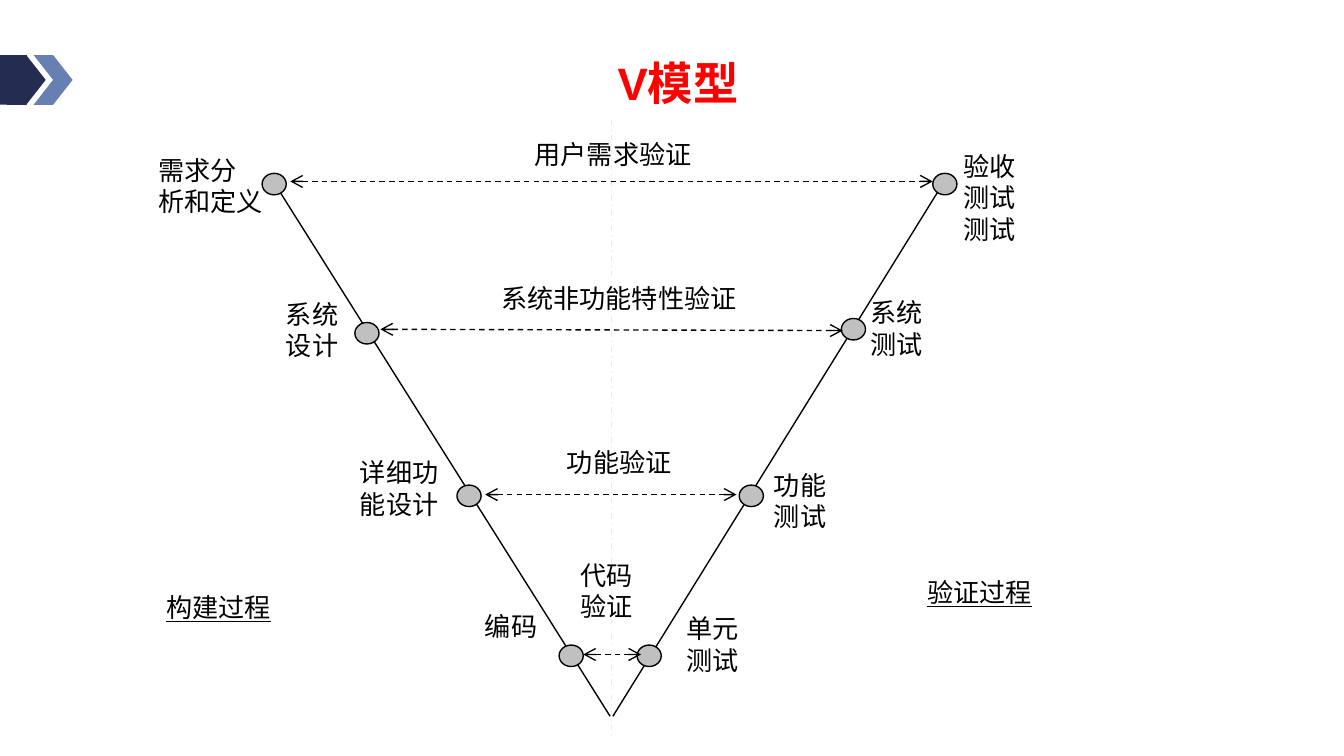
"""Builds the V model slide: build steps on the left, matching tests on the right."""
from lxml import etree
from pptx import Presentation
from pptx.dml.color import RGBColor
from pptx.enum import dml, shapes, text
from pptx.oxml.ns import qn
from pptx.util import Inches, Pt


def ink(color, tone):
    color.rgb = RGBColor.from_string(tone)


def put(words, x, y, w, h, size=14, face="Times New Roman", tone="000000",
        bold=False, under=False, align=text.PP_ALIGN.LEFT,
        anchor=text.MSO_ANCHOR.TOP, space=1.0):
    box = slide.shapes.add_textbox(Inches(x), Inches(y), Inches(w), Inches(h))
    frame = box.text_frame
    frame.word_wrap = True
    frame.vertical_anchor = anchor
    frame.text = words
    for par in frame.paragraphs:
        par.alignment = align
        par.line_spacing = space
        font = par.runs[0].font
        font.size, font.name = Pt(size), face
        font.bold, font.underline = bold, under
        ink(font.color, tone)
    return box


deck = Presentation()
deck.slide_width = Inches(10)
deck.slide_height = deck.slide_width * 9 // 16
slide = deck.slides.add_slide(deck.slide_layouts[6])
kinds = shapes.MSO_SHAPE
dashes = dml.MSO_LINE

badge = [
    (kinds.RECTANGLE, 0, 0.2, "242C52"),
    (kinds.CHEVRON, 0.25, 0.29, "6880B1"),
    (kinds.CHEVRON, 0.05, 0.29, "242C52"),
]
for kind, x, w, tone in badge:
    part = slide.shapes.add_shape(kind, Inches(x), Inches(0.41), Inches(w), Inches(0.37))
    part.shadow.inherit = False
    part.fill.solid()
    ink(part.fill.fore_color, tone)
    part.line.fill.background()

title = put("V模型", 2.28, 0.21, 5.38, 0.6, size=24.3, face="Arial", tone="FF0000",
            bold=True, align=text.PP_ALIGN.CENTER,
            anchor=text.MSO_ANCHOR.MIDDLE, space=1.5)
props = title.text_frame.paragraphs[0]._p.get_or_add_pPr()
props.set("marL", str(Inches(0.44)))
props.set("indent", str(Inches(-0.29)))

axis = ("axis", 4.55, 0.89, 4.55, 5.49)
sides = [("side", 2.04, 1.36, 4.54, 5.33), ("side", 4.56, 5.33, 7.02, 1.36)]
spots = [
    (1.95, 1.29), (2.64, 2.4), (3.4, 3.61), (4.16, 4.8),
    (4.74, 4.8), (5.5, 3.61), (6.26, 2.37), (6.94, 1.29),
]
dots = [("dot", x, y, 0.18, 0.16) for x, y in spots]
links = [
    ("link", 2.16, 1.35, 6.94, 1.35),
    ("link", 2.83, 2.45, 6.27, 2.46),
    ("link", 3.61, 3.68, 5.48, 3.68),
    ("link", 4.34, 4.87, 4.77, 4.87),
]
for role, *spot in [axis, *sides, *dots, *links]:
    place = [Inches(n) for n in spot]
    if role == "dot":
        part = slide.shapes.add_shape(kinds.OVAL, *place)
        part.shadow.inherit = False
        part.fill.solid()
        ink(part.fill.fore_color, "C0C0C0")
    else:
        part = slide.shapes.add_connector(shapes.MSO_CONNECTOR.STRAIGHT, *place)
        etree.SubElement(part._element.spPr, qn("a:effectLst"))
    part.line.width = Pt(0.75)
    ink(part.line.color, "CCFFCC" if role == "axis" else "000000")
    if role == "axis":
        part.line.dash_style = dashes.DASH_DOT
    if role == "link":
        part.line.dash_style = dashes.DASH
        for end in ("a:headEnd", "a:tailEnd"):
            etree.SubElement(part.line._get_or_add_ln(), qn(end), type="arrow")

labels = [
    ("需求分\n析和定义", 1.08, 1.1, 1.27, 0.7),
    ("系统设计", 2.03, 2.17, 0.64, 0.7),
    ("详细功能设计", 2.58, 3.35, 0.84, 0.7),
    ("编码", 3.51, 4.49, 0.7, 0.45),
    ("单元测试", 5.01, 4.51, 0.66, 0.7),
    ("功能测试", 5.66, 3.44, 0.66, 0.7),
    ("系统测试", 6.38, 2.16, 0.66, 0.7),
    ("验收测试测试", 7.07, 1.07, 0.69, 0.7),
    ("用户需求验证", 3.88, 0.98, 1.46, 0.45),
    ("系统非功能特性验证", 3.63, 2.05, 2.12, 0.45),
    ("功能验证", 4.12, 3.27, 1.04, 0.45),
    ("代码验证", 4.22, 4.11, 0.64, 0.71),
]
for label in labels:
    put(*label)
put("构建过程", 1.14, 4.35, 1.2, 0.46, under=True)
put("验证过程", 6.8, 4.24, 1.2, 0.46, under=True)

deck.save("out.pptx")
